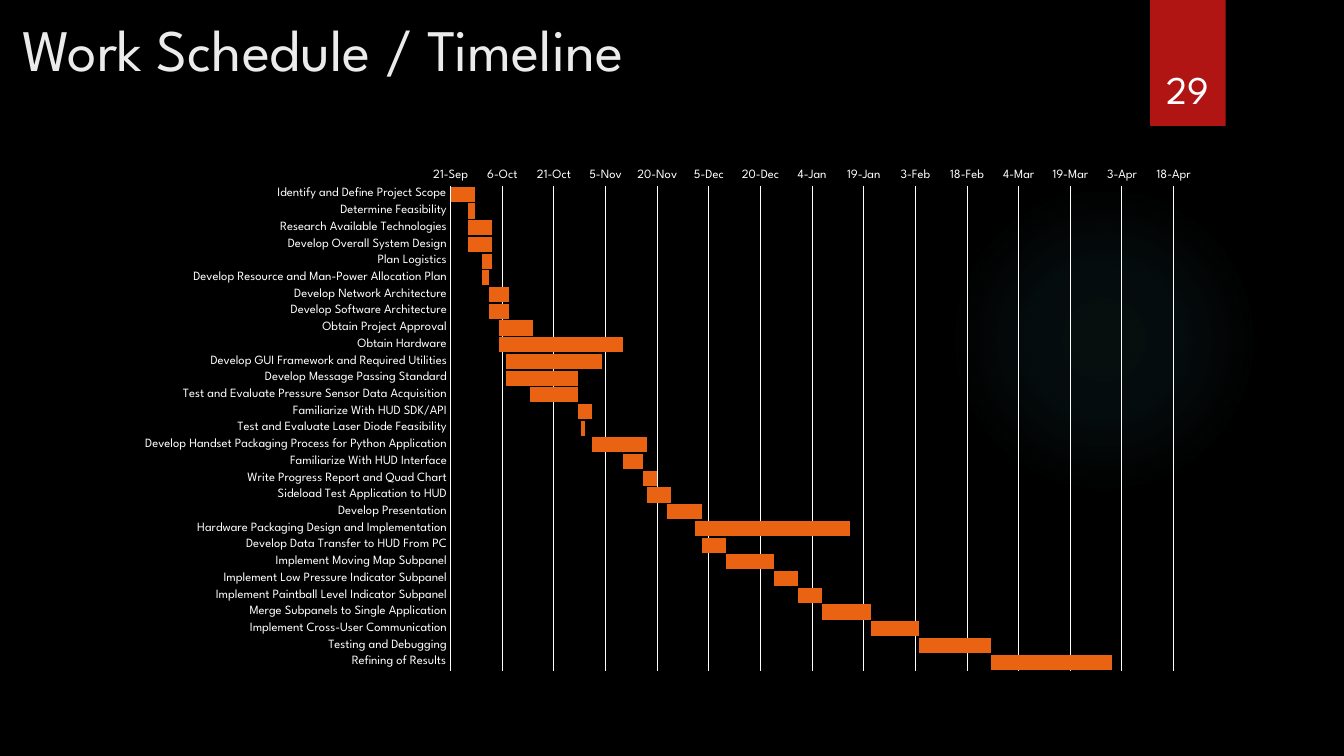
from dataclasses import dataclass
from typing import Any

from lxml import etree
from pptx import Presentation
from pptx.chart.data import CategoryChartData
from pptx.dml.color import RGBColor
from pptx.enum.chart import XL_CHART_TYPE, XL_TICK_MARK
from pptx.enum.shapes import MSO_SHAPE
from pptx.enum.text import MSO_ANCHOR, PP_ALIGN
from pptx.oxml import parse_xml
from pptx.oxml.ns import nsdecls, qn
from pptx.util import Pt

STACKED_BAR = XL_CHART_TYPE.BAR_STACKED
NO_TICK = XL_TICK_MARK.NONE
OVAL, RECTANGLE = MSO_SHAPE.OVAL, MSO_SHAPE.RECTANGLE
TOP, BOTTOM = MSO_ANCHOR.TOP, MSO_ANCHOR.BOTTOM
LEFT, CENTER = PP_ALIGN.LEFT, PP_ALIGN.CENTER

FONT = "League Spartan"
BLACK, WHITE, TITLE_GREY = "000000", "FFFFFF", "EBEBEB"
RED, ORANGE, TEAL = "B01513", "EA6312", "50B9C1"

# Dates are spreadsheet day serials
FIRST_DAY, LAST_DAY, GRID_DAYS = 42268, 42478, 15


@dataclass
class Task:
    name: str
    start: int  # days after FIRST_DAY
    days: int


@dataclass
class Label:
    text: str
    box: tuple[float, float, float, float]
    size: float
    color: str
    align: Any
    anchor: Any


TASKS = [
    Task("Identify and Define Project Scope", 0, 7),
    Task("Determine Feasibility", 5, 2),
    Task("Research Available Technologies", 5, 7),
    Task("Develop Overall System Design", 5, 7),
    Task("Plan Logistics", 9, 3),
    Task("Develop Resource and Man-Power Allocation Plan", 9, 2),
    Task("Develop Network Architecture", 11, 6),
    Task("Develop Software Architecture", 11, 6),
    Task("Obtain Project Approval", 14, 10),
    Task("Obtain Hardware", 14, 36),
    Task("Develop GUI Framework and Required Utilities", 16, 28),
    Task("Develop Message Passing Standard", 16, 21),
    Task("Test and Evaluate Pressure Sensor Data Acquisition", 23, 14),
    Task("Familiarize With HUD SDK/API", 37, 4),
    Task("Test and Evaluate Laser Diode Feasibility", 38, 1),
    Task("Develop Handset Packaging Process for Python Application", 41, 16),
    Task("Familiarize With HUD Interface", 50, 6),
    Task("Write Progress Report and Quad Chart", 56, 4),
    Task("Sideload Test Application to HUD", 57, 7),
    Task("Develop Presentation", 63, 10),
    Task("Hardware Packaging Design and Implementation", 71, 45),
    Task("Develop Data Transfer to HUD From PC", 73, 7),
    Task("Implement Moving Map Subpanel", 80, 14),
    Task("Implement Low Pressure Indicator Subpanel", 94, 7),
    Task("Implement Paintball Level Indicator Subpanel", 101, 7),
    Task("Merge Subpanels to Single Application", 108, 14),
    Task("Implement Cross-User Communication", 122, 14),
    Task("Testing and Debugging", 136, 21),
    Task("Refining of Results", 157, 35),
]

LABELS = [
    Label("Work Schedule / Timeline", (8.64, 5.76, 740.88, 110.16), 42, TITLE_GREY, LEFT, TOP),
    Label("29", (815.04, 23.04, 66.24, 60.48), 28, WHITE, CENTER, BOTTOM),
]


def rgb(value: str) -> RGBColor:
    return RGBColor.from_string(value)


def apply(target: Any, formats: dict[str, Any]) -> None:
    for attribute, value in formats.items():
        setattr(target, attribute, value)


def style_font(font: Any, size: float, color: str) -> None:
    apply(font, {"name": FONT, "size": Pt(size), "bold": False})
    font.color.rgb = rgb(color)


def style_line(line: Any, color: str, width: float) -> None:
    line.color.rgb = rgb(color)
    line.width = Pt(width)


def add_block(slide: Any, kind: Any, box: tuple[float, ...], color: str) -> Any:
    block = slide.shapes.add_shape(kind, *map(Pt, box))
    block.shadow.inherit = False
    block.fill.solid()
    block.fill.fore_color.rgb = rgb(color)
    block.line.fill.background()
    return block


def fade_radially(block: Any, color: str, stops: list[tuple[int, int]]) -> None:
    """Replace the solid fill by a glow; stops are (position %, opacity %)."""
    stop_xml = "".join(
        f'<a:gs pos="{position * 1000}"><a:srgbClr val="{color}">'
        f'<a:alpha val="{opacity * 1000}"/></a:srgbClr></a:gs>'
        for position, opacity in stops
    )
    gradient = parse_xml(
        f'<a:gradFill {nsdecls("a")} rotWithShape="1"><a:gsLst>{stop_xml}</a:gsLst>'
        '<a:path path="circle"><a:fillToRect l="50000" t="50000" r="50000" b="50000"/>'
        "</a:path></a:gradFill>"
    )
    properties = block._element.spPr
    properties.replace(properties.find(qn("a:solidFill")), gradient)


def add_label(slide: Any, label: Label) -> None:
    frame = slide.shapes.add_textbox(*map(Pt, label.box)).text_frame
    apply(frame, {"word_wrap": True, "vertical_anchor": label.anchor})
    paragraph = frame.paragraphs[0]
    paragraph.alignment = label.align
    run = paragraph.add_run()
    run.text = label.text
    style_font(run.font, label.size, label.color)


def place_plot(chart: Any, x: float, y: float, w: float, h: float) -> None:
    plot_area = chart._chartSpace.chart.plotArea
    for old_layout in plot_area.findall(qn("c:layout")):
        plot_area.remove(old_layout)
    layout = etree.Element(qn("c:layout"))
    manual = etree.SubElement(layout, qn("c:manualLayout"))
    settings = {"layoutTarget": "inner", "xMode": "edge", "yMode": "edge",
                "x": x, "y": y, "w": w, "h": h}
    for tag, value in settings.items():
        etree.SubElement(manual, qn(f"c:{tag}")).set("val", str(value))
    plot_area.insert(0, layout)


def add_schedule(slide: Any, tasks: list[Task]) -> None:
    data = CategoryChartData()
    data.categories = [task.name for task in tasks]
    data.add_series("Series 1", [FIRST_DAY + task.start for task in tasks])
    data.add_series("Series 2", [task.days for task in tasks])
    box = (48.96, 105.84, 817.2, 385.92)
    chart = slide.shapes.add_chart(STACKED_BAR, *map(Pt, box), data).chart
    apply(chart, {"has_legend": False, "has_title": False})
    style_font(chart.font, 10, WHITE)
    place_plot(chart, 0.334, 0.07, 0.632, 0.897)

    # Bars: an invisible offset, then the duration
    plot = chart.plots[0]
    apply(plot, {"gap_width": 10, "overlap": 100, "vary_by_categories": False})
    offset, duration = plot.series
    offset.format.fill.background()
    duration.format.fill.solid()
    duration.format.fill.fore_color.rgb = rgb(ORANGE)

    # Axes: tasks run downwards, dates along the top
    task_axis, date_axis = chart.category_axis, chart.value_axis
    for axis in (task_axis, date_axis):
        apply(axis, {"major_tick_mark": NO_TICK, "minor_tick_mark": NO_TICK})
        style_font(axis.tick_labels.font, 9, WHITE)
    apply(task_axis, {"reverse_order": True, "has_major_gridlines": False})
    style_line(task_axis.format.line, WHITE, 0.75)
    apply(date_axis, {"minimum_scale": FIRST_DAY, "maximum_scale": LAST_DAY,
                      "major_unit": GRID_DAYS, "has_major_gridlines": True})
    apply(date_axis.tick_labels, {"number_format": r"d\-mmm", "number_format_is_linked": False})
    date_axis.format.line.fill.background()
    style_line(date_axis.major_gridlines.format.line, WHITE, 0.75)


def main() -> None:
    deck = Presentation()
    apply(deck, {"slide_width": Pt(960), "slide_height": Pt(540)})
    slide = deck.slides.add_slide(deck.slide_layouts[6])
    slide.background.fill.solid()
    slide.background.fill.fore_color.rgb = rgb(BLACK)

    # Backdrop glow and page-number tab
    glow = add_block(slide, OVAL, (677.52, 131.76, 221.76, 221.76), TEAL)
    fade_radially(glow, TEAL, [(0, 7), (36, 6), (69, 0)])
    add_block(slide, RECTANGLE, (821.52, 0, 54, 90), RED)

    # Title, page number and schedule
    for label in LABELS:
        add_label(slide, label)
    add_schedule(slide, TASKS)
    deck.save("out.pptx")


if __name__ == "__main__":
    main()
